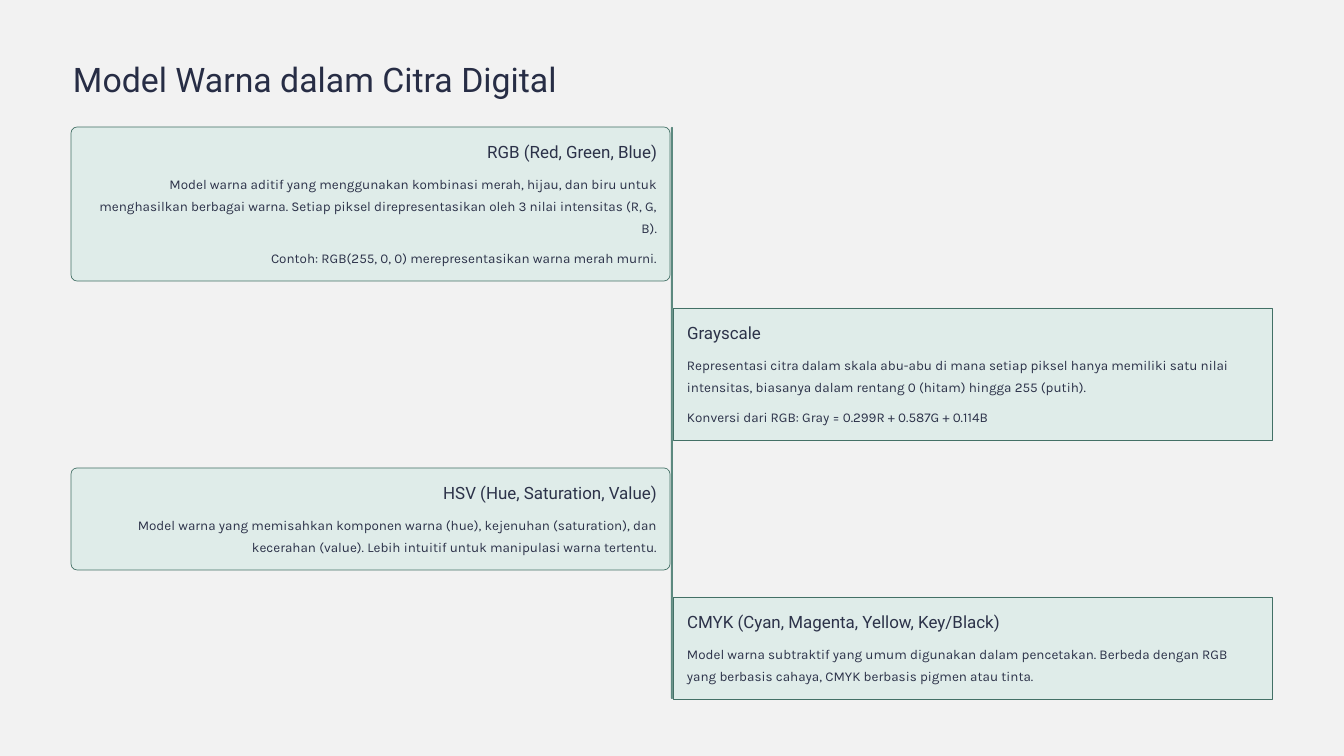
from pptx import Presentation
from pptx.dml.color import RGBColor
from pptx.enum.shapes import MSO_SHAPE
from pptx.enum.text import MSO_ANCHOR, MSO_AUTO_SIZE, PP_ALIGN
from pptx.util import Pt

EMU_PER_PX = 914400 / 84


def px(*lengths):
    return [round(length * EMU_PER_PX) for length in lengths]


def colour(hex_string):
    return RGBColor.from_string(hex_string)


class ColourModelSlide:
    HEADING_FONT, BODY_FONT = "Roboto", "Karla"
    BACKGROUND, TITLE, TEXT = "F2F2F2", "272D45", "2C3249"
    CARD, BORDER, SPINE = "DFECE9", "437066", "5C897F"
    CARD_WIDTH, TEXT_WIDTH, RADIUS = 599, 571, 6

    def __init__(self, presentation):
        self.slide = presentation.slides.add_slide(presentation.slide_layouts[5])
        fill = self.slide.background.fill
        fill.solid()
        fill.fore_color.rgb = colour(self.BACKGROUND)

    def style_text(self, frame, text, font, size, text_colour, spacing, align, wrap):
        frame.margin_left = frame.margin_top = frame.margin_right = frame.margin_bottom = 0
        frame.auto_size = MSO_AUTO_SIZE.NONE
        frame.vertical_anchor = MSO_ANCHOR.TOP
        frame.word_wrap = wrap
        paragraph = frame.paragraphs[0]
        paragraph.text = text
        paragraph.alignment = align
        paragraph.line_spacing = Pt(spacing)
        paragraph.space_before = Pt(0)
        paragraph.font.name = font
        paragraph.font.size = Pt(size)
        paragraph.font.color.rgb = colour(text_colour)

    def title(self, text, left, top, width, height):
        title = self.slide.shapes.title
        title.left, title.top, title.width, title.height = px(left, top, width, height)
        self.style_text(title.text_frame, text, self.HEADING_FONT, 29, self.TITLE,
                        36.5, PP_ALIGN.LEFT, True)

    def heading(self, text, left, top, width, align):
        box = self.slide.shapes.add_textbox(*px(left, top, width, 21))
        self.style_text(box.text_frame, text, self.HEADING_FONT, 14.5, self.TEXT,
                        18, align, False)

    def body(self, text, left, top, height, align):
        box = self.slide.shapes.add_textbox(*px(left, top, self.TEXT_WIDTH, height))
        self.style_text(box.text_frame, text, self.BODY_FONT, 11.5, self.TEXT,
                        18.5, align, True)

    def panel(self, left, top, width, height, fill, border=None, radius=0):
        kind = MSO_SHAPE.ROUNDED_RECTANGLE if radius else MSO_SHAPE.RECTANGLE
        panel = self.slide.shapes.add_shape(kind, *px(left, top, width, height))
        panel.shadow.inherit = False
        if radius:
            panel.adjustments[0] = min(0.5, radius / min(width, height))
        panel.fill.solid()
        panel.fill.fore_color.rgb = colour(fill)
        if border:
            panel.line.color.rgb = colour(border)
            panel.line.width = Pt(0.6)
        else:
            panel.line.fill.background()

    def card(self, top, height, on_left, name, name_width, description, example):
        if on_left:
            card_left, text_left, align, radius = 71, 86, PP_ALIGN.RIGHT, self.RADIUS
            name_left = text_left + self.TEXT_WIDTH - name_width
        else:
            card_left, text_left, align, radius = 673, 687, PP_ALIGN.LEFT, 0
            name_left = text_left
        self.panel(card_left, top, self.CARD_WIDTH, height, self.CARD, self.BORDER, radius)
        self.heading(name, name_left, top + 14, name_width, align)
        description_height = height - (88 if example else 58)
        self.body(description, text_left, top + 44, description_height, align)
        if example:
            self.body(example, text_left, top + height - 36, 22, align)


# Top, height, name, name width, description, example
COLOUR_MODELS = [
    (127, 154, "RGB (Red, Green, Blue)", 171,
     "Model warna aditif yang menggunakan kombinasi merah, hijau, dan biru untuk "
     "menghasilkan berbagai warna. Setiap piksel direpresentasikan oleh 3 nilai "
     "intensitas (R, G, B).",
     "Contoh: RGB(255, 0, 0) merepresentasikan warna merah murni."),
    (308, 132, "Grayscale", 171,
     "Representasi citra dalam skala abu-abu di mana setiap piksel hanya memiliki satu "
     "nilai intensitas, biasanya dalam rentang 0 (hitam) hingga 255 (putih).",
     "Konversi dari RGB: Gray = 0.299R + 0.587G + 0.114B"),
    (468, 102, "HSV (Hue, Saturation, Value)", 211,
     "Model warna yang memisahkan komponen warna (hue), kejenuhan (saturation), dan "
     "kecerahan (value). Lebih intuitif untuk manipulasi warna tertentu.", None),
    (597, 102, "CMYK (Cyan, Magenta, Yellow, Key/Black)", 306,
     "Model warna subtraktif yang umum digunakan dalam pencetakan. Berbeda dengan RGB "
     "yang berbasis cahaya, CMYK berbasis pigmen atau tinta.", None),
]


def main():
    presentation = Presentation()
    presentation.slide_width, presentation.slide_height = px(1344, 756)
    page = ColourModelSlide(presentation)

    # Title and central spine
    page.title("Model Warna dalam Citra Digital", 73, 57, 520, 43)
    page.panel(671, 127, 2, 572, page.SPINE, radius=page.RADIUS)

    # Cards alternate between the two sides of the spine
    for index, (top, height, *content) in enumerate(COLOUR_MODELS):
        page.card(top, height, index % 2 == 0, *content)

    presentation.save("out.pptx")


if __name__ == "__main__":
    main()
